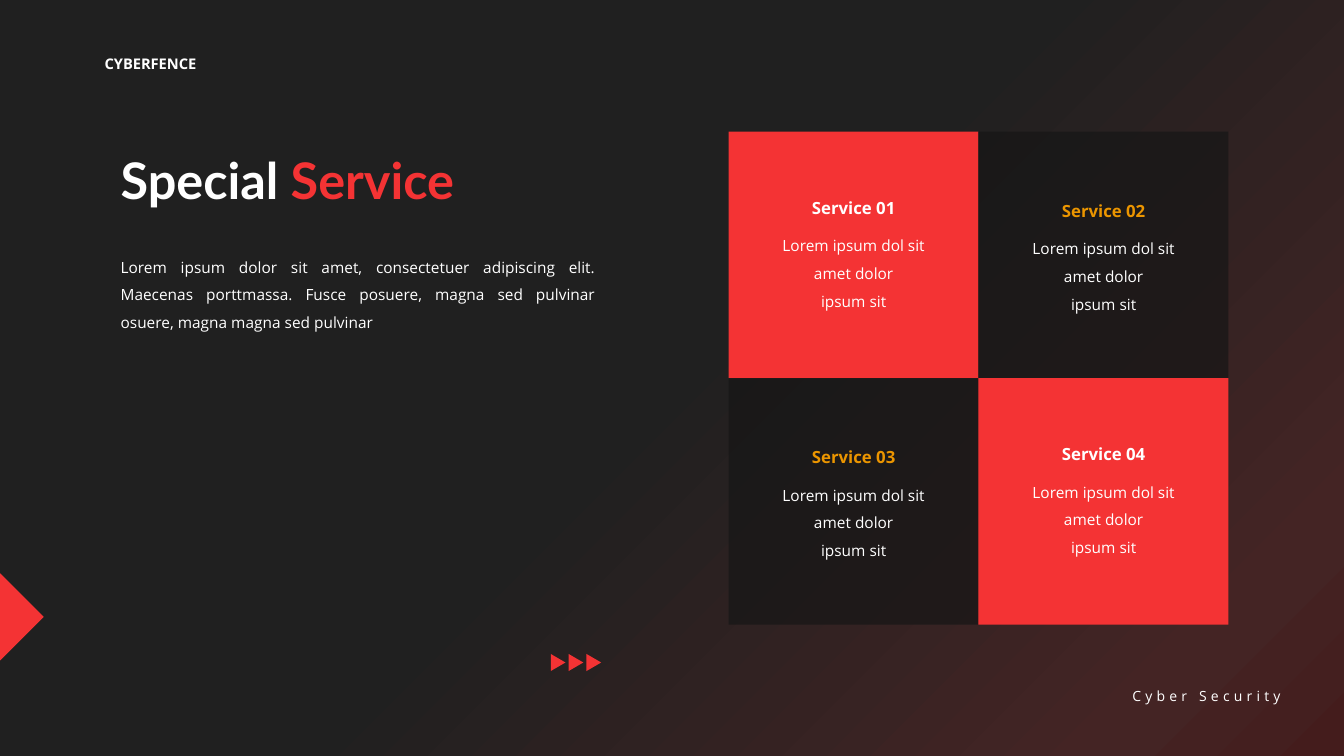
"""Build the Special Service slide with a two-by-two grid of services."""
from copy import deepcopy

from lxml import etree
from pptx import Presentation
from pptx.dml.color import RGBColor
from pptx.enum.shapes import MSO_SHAPE
from pptx.enum.text import MSO_AUTO_SIZE, PP_ALIGN
from pptx.oxml.ns import qn
from pptx.util import Cm, Pt

RECTANGLE = MSO_SHAPE.RECTANGLE
TRIANGLE = MSO_SHAPE.ISOSCELES_TRIANGLE
CORNER = MSO_SHAPE.RIGHT_TRIANGLE
LEFT, CENTER, RIGHT, JUSTIFY = PP_ALIGN.LEFT, PP_ALIGN.CENTER, PP_ALIGN.RIGHT, PP_ALIGN.JUSTIFY
FIT_TEXT = MSO_AUTO_SIZE.SHAPE_TO_FIT_TEXT
RED, DARK, WHITE, AMBER = "F43334", "161616", "FFFFFF", "EB9500"

prs = Presentation()
prs.slide_width, prs.slide_height = Cm(33.87), Cm(19.05)
slide = prs.slides.add_slide(prs.slide_layouts[6])


def add_block(kind, box, color, rotation=0):
    block = slide.shapes.add_shape(kind, *map(Cm, box))
    block.shadow.inherit = False
    block.fill.solid()
    block.fill.fore_color.rgb = RGBColor.from_string(color)
    block.line.fill.background()
    block.rotation = rotation
    return block


def add_text(box, paragraphs, size, align=LEFT, spacing=1.0, font="Open Sans", bold=False, wrap=True):
    frame = slide.shapes.add_textbox(*map(Cm, box)).text_frame
    frame.word_wrap = wrap
    frame.auto_size = FIT_TEXT
    for index, runs in enumerate(paragraphs):
        paragraph = frame.paragraphs[0] if index == 0 else frame.add_paragraph()
        paragraph.alignment = align
        paragraph.line_spacing = spacing
        for wording, color in runs:
            run = paragraph.add_run()
            run.text = wording
            for attribute, value in {"name": font, "size": Pt(size), "bold": bold}.items():
                setattr(run.font, attribute, value)
            run.font.color.rgb = RGBColor.from_string(color)
    return frame


backdrop = slide.background.fill
backdrop.gradient()
backdrop.gradient_angle = 315
stop_list = slide.element.find(".//" + qn("a:gsLst"))
for _ in range(2):
    stop_list.append(deepcopy(stop_list[0]))
backdrop_stops = [(0, "202020"), (0.5, "202020"), (0.88, "442424"), (1, "441C1C")]
for stop, (position, color) in zip(backdrop.gradient_stops, backdrop_stops):
    stop.position = position
    stop.color.rgb = RGBColor.from_string(color)

add_text((2.39, 1.26, 3, 0.7), [[("CYBERFENCE", WHITE)]], 10.5, bold=True, wrap=False)
footer = add_text((27.97, 17.2, 4.55, 0.68), [[("Cyber Security", WHITE)]], 10, RIGHT, wrap=False)
footer.paragraphs[0].runs[0].font._element.set("spc", "300")
add_block(CORNER, (-0.77, 14.77, 1.55, 1.55), RED, 225)

add_text((2.79, 3.63, 12.34, 1.8), [[("Special ", WHITE), ("Service", RED)]], 36, font="Lato", bold=True)
intro = (
    "Lorem ipsum dolor sit amet, consectetuer adipiscing elit. Maecenas porttmassa. "
    "Fusce posuere, magna sed pulvinar osuere, magna magna sed pulvinar"
)
add_text((2.79, 6.14, 12.47, 2.36), [[(intro, WHITE)]], 11, JUSTIFY, 1.5)

tile_width, tile_height = 6.3, 6.21
description = [[("Lorem ipsum dol sit amet dolor", WHITE)], [("ipsum sit", WHITE)]]
for number in range(4):
    row, column = divmod(number, 2)
    left, top = 18.36 + column * tile_width, 3.32 + row * tile_height
    highlighted = row == column
    tile = add_block(RECTANGLE, (left, top, tile_width, tile_height), RED if highlighted else DARK)
    if not highlighted:
        tile_color = tile.fill._xPr.find(".//" + qn("a:srgbClr"))
        etree.SubElement(tile_color, qn("a:alpha")).set("val", "70000")
    heading_top = top + (1.28 if highlighted else 1.35)
    heading = [[(f"Service {number + 1:02}", WHITE if highlighted else AMBER)]]
    add_text((left + 0.78, heading_top, 4.75, 0.94), heading, 12, CENTER, 1.5, bold=True)
    add_text((left + 0.78, heading_top + 1, 4.75, 2.64), description, 11, CENTER, 1.5)

for arrow in range(3):
    add_block(TRIANGLE, (13.85 + arrow * 0.45, 16.51, 0.43, 0.37), RED, 90)

prs.save("out.pptx")
